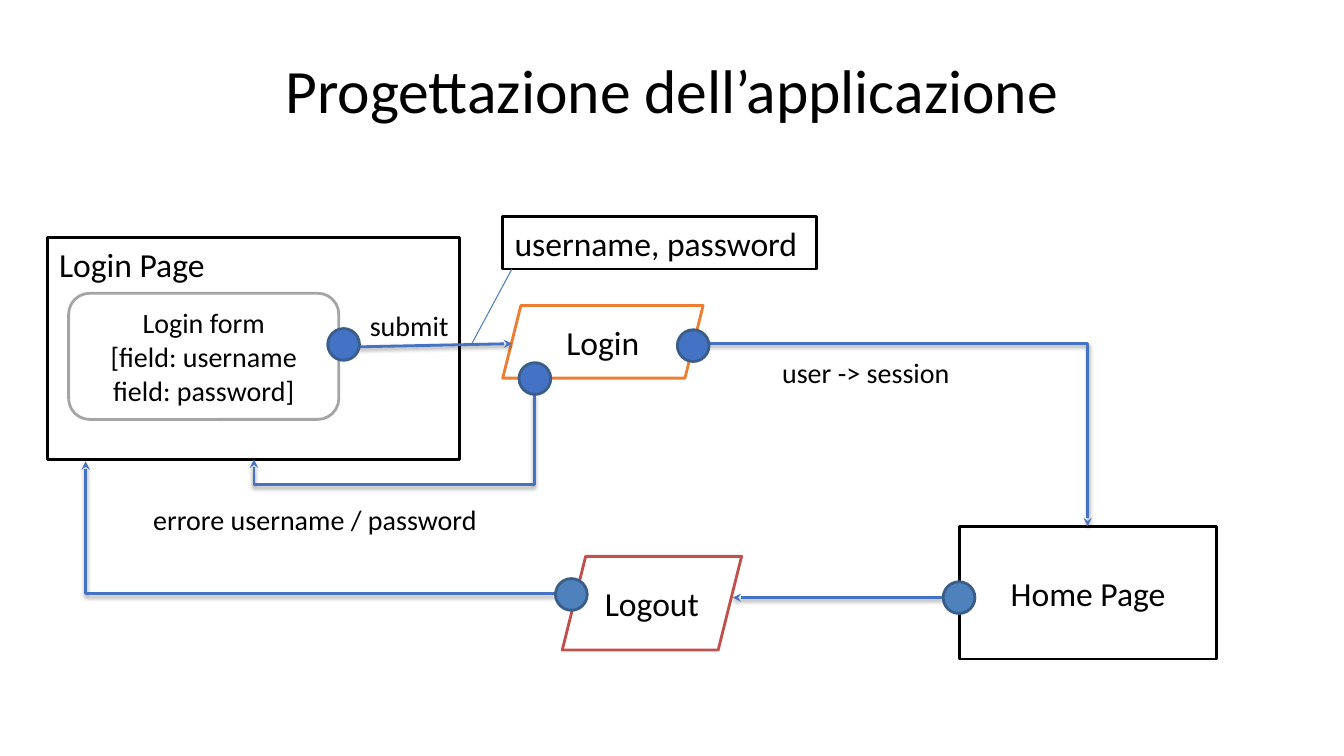
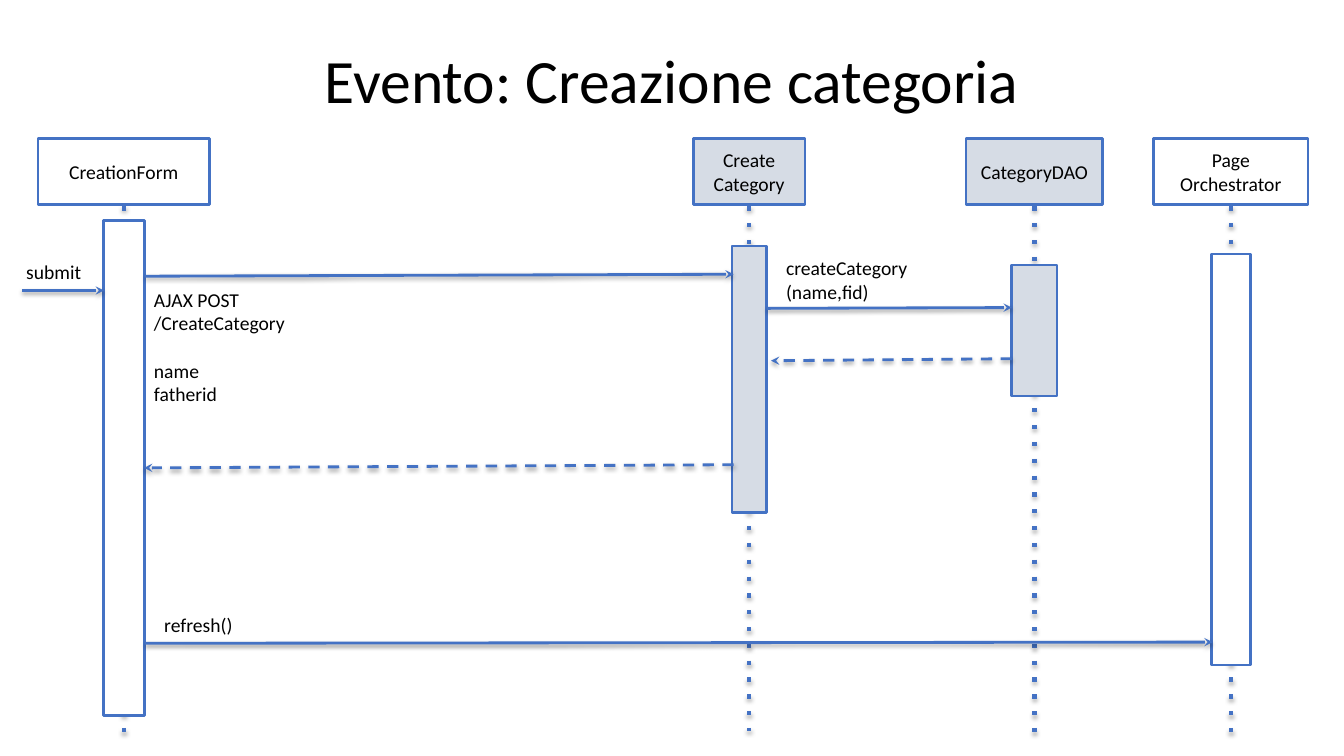
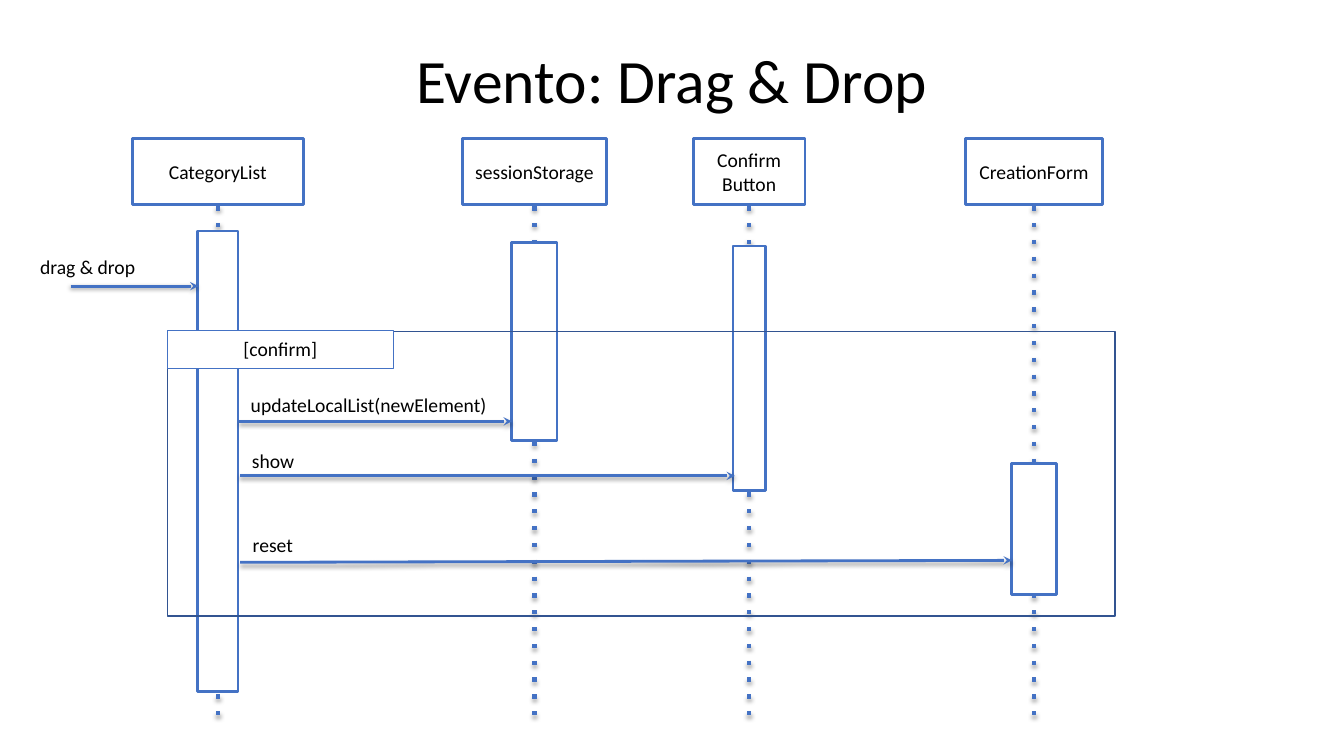
import pptx
import pptx.dml.color
import pptx.enum.shapes
import pptx.enum.text
import pptx.oxml.ns
import pptx.util
from lxml import etree

Cm, Pt = pptx.util.Cm, pptx.util.Pt
SHAPE = pptx.enum.shapes.MSO_SHAPE
CONNECTOR = pptx.enum.shapes.MSO_CONNECTOR
ALIGN = pptx.enum.text.PP_ALIGN
ANCHOR = pptx.enum.text.MSO_ANCHOR
BLUE, BLACK, WHITE, SERVER = "4472C4", "000000", "FFFFFF", "D6DCE5"
DOT_RIM, PAGE_DOT, THIN_BLUE, FRAME_BLUE = "395E89", "4F81BD", "4A7DBA", "325491"
ORANGE, RED, GRAY = "ED7D31", "C0504D", "A5A5A5"
FRAME_FORMAT = {
    "word_wrap": True,
    "margin_left": Cm(0.3),
    "margin_right": Cm(0.3),
    "margin_top": Cm(0.16),
    "margin_bottom": Cm(0.16),
}
HEAD_TOP, HEAD_HEIGHT, AXIS_TOP = 3.5, 1.66, 5.2
DOT_SIZE = 0.8


def rgb(value):
    """Turn a hex string into a colour."""
    return pptx.dml.color.RGBColor.from_string(value)


def set_attributes(target, values):
    """Set each attribute named in values."""
    for name, value in values.items():
        setattr(target, name, value)


def add_node(parent, tag, **attributes):
    """Append a drawing element to parent."""
    return etree.SubElement(parent, pptx.oxml.ns.qn(f"a:{tag}"), attributes)


def write(s, text, size, align=ALIGN.LEFT, anchor=ANCHOR.TOP):
    """Put text in a shape, one paragraph a line."""
    tf = s.text_frame
    set_attributes(tf, FRAME_FORMAT | {"vertical_anchor": anchor})
    tf.text = text
    for p in tf.paragraphs:
        p.alignment = align
        for r in p.runs:
            set_attributes(r.font, {"name": "Calibri", "size": Pt(size)})
            r.font.color.rgb = rgb(BLACK)
    return tf


def add_label(sl, text, x, y, w, h, size=14, **layout):
    """Add a text box."""
    s = sl.shapes.add_textbox(Cm(x), Cm(y), Cm(w), Cm(h))
    return write(s, text, size, **layout)


def add_box(sl, x, y, w, h, kind=SHAPE.RECTANGLE, fill=WHITE, line=BLUE, width=2,
            text="", size=14, align=ALIGN.CENTER, anchor=ANCHOR.MIDDLE):
    """Add an outlined shape, with text if there is any."""
    s = sl.shapes.add_shape(kind, Cm(x), Cm(y), Cm(w), Cm(h))
    s.shadow.inherit = False
    if fill:
        s.fill.solid()
        s.fill.fore_color.rgb = rgb(fill)
    else:
        s.fill.background()
    s.line.color.rgb = rgb(line)
    s.line.width = Pt(width)
    if text:
        write(s, text, size, align, anchor)
    return s


def add_dot(sl, x, y, fill=BLUE):
    """Add an event dot."""
    add_box(sl, x, y, DOT_SIZE, DOT_SIZE, SHAPE.OVAL, fill, DOT_RIM)


def add_line(sl, x1, y1, x2, y2, kind=CONNECTOR.STRAIGHT, color=BLUE, width=2,
             dash=None, arrow=True, shadow=True):
    """Add a line with its dash, arrowhead and shadow."""
    s = sl.shapes.add_connector(kind, Cm(x1), Cm(y1), Cm(x2), Cm(y2))
    s.line.color.rgb = rgb(color)
    s.line.width = Pt(width)
    ln = s.line._get_or_add_ln()
    if dash:
        add_node(ln, "prstDash", val=dash)
    if arrow:
        add_node(ln, "tailEnd", type="stealth")
    effects = add_node(s._element.spPr, "effectLst")
    if shadow:
        outer = add_node(effects, "outerShdw", blurRad=str(Pt(3.1)), dist=str(Pt(1.6)),
                         dir="5400000", rotWithShape="0")
        add_node(add_node(outer, "srgbClr", val=BLACK), "alpha", val="38000")
    return s


def add_elbow(sl, x1, y1, x2, y2, bend=None):
    """Add an arrow that leaves sideways and bends once or at a fraction."""
    s = add_line(sl, x1, y1, x2, y2, CONNECTOR.ELBOW)
    geometry = s._element.spPr.find(pptx.oxml.ns.qn("a:prstGeom"))
    if bend is None:
        geometry.set("prst", "bentConnector2")
    else:
        guides = geometry.find(pptx.oxml.ns.qn("a:avLst"))
        add_node(guides, "gd", name="adj1", fmla=f"val {round(bend * 100000)}")
    return s


def add_elbow_down(sl, x1, y1, x2, y2, bend):
    """Add an arrow that leaves downwards and turns left."""
    cx, cy = (x1 + x2) / 2, (y1 + y2) / 2
    dx, dy = (y2 - y1) / 2, (x1 - x2) / 2
    s = add_elbow(sl, cx - dx, cy - dy, cx + dx, cy + dy, bend)
    s.rotation = 90


def add_lifeline(sl, name, x, head_w, bar_w, bar_top, bar_h, end, fill=WHITE):
    """Add a participant: head, dotted axis and activation bar centred on x."""
    add_line(sl, x, AXIS_TOP, x, end, width=3, dash="dot", arrow=False)
    add_box(sl, x - head_w / 2, HEAD_TOP, head_w, HEAD_HEIGHT, fill=fill, text=name)
    add_box(sl, x - bar_w / 2, bar_top, bar_w, bar_h, fill=fill)


def add_slide(prs, title, x=4.55, y=0.51, w=24.77):
    """Add a blank slide with its title."""
    sl = prs.slides.add_slide(prs.slide_layouts[6])
    tf = add_label(sl, title, x, y, w, 3.18, 44, align=ALIGN.CENTER, anchor=ANCHOR.MIDDLE)
    tf.paragraphs[0].line_spacing = 0.9
    return sl


def add_design_slide(prs):
    """Build the page flow of the application."""
    sl = add_slide(prs, "Progettazione dell’applicazione", 1.7, 0.76, 30.48)
    add_box(sl, 1.19, 5.99, 10.39, 5.59, line=BLACK, text="Login Page", size=24,
            align=ALIGN.LEFT, anchor=ANCHOR.TOP)
    add_box(sl, 1.73, 7.39, 6.81, 3.18, SHAPE.ROUNDED_RECTANGLE, line=GRAY, size=20,
            text="Login form\n[field: username\nfield: password]")
    add_box(sl, 24.18, 13.26, 6.48, 3.35, line=BLACK, text="Home Page", size=24)
    add_box(sl, 12.67, 5.46, 7.9, 1.32, line=BLACK, text="username, password", size=24,
            align=ALIGN.LEFT, anchor=ANCHOR.TOP)
    add_box(sl, 12.67, 7.7, 5.05, 1.83, SHAPE.PARALLELOGRAM, line=ORANGE, text="Login", size=24)
    add_box(sl, 14.17, 14.02, 4.52, 2.36, SHAPE.PARALLELOGRAM, line=RED, text="Logout", size=24)

    add_line(sl, 12.9, 6.78, 11.89, 8.66, color=THIN_BLUE, width=0.75, arrow=False, shadow=False)
    add_line(sl, 9.02, 8.74, 12.9, 8.66)
    add_line(sl, 23.77, 15.06, 18.47, 15.06)
    add_elbow(sl, 17.63, 8.66, 27.41, 13.26)
    add_elbow(sl, 14.33, 14.96, 2.16, 11.63, 1)
    add_elbow_down(sl, 13.46, 9.96, 6.4, 11.58, 1.39)

    for x, y in [(8.26, 8.28), (17.07, 8.31), (13.08, 9.14)]:
        add_dot(sl, x, y)
    for x, y in [(23.77, 14.66), (14, 14.58)]:
        add_dot(sl, x, y, PAGE_DOT)
    for label in [
        ("submit", 9.02, 7.62, 3.07, 1.02),
        ("errore username / password", 3.56, 12.5, 10.74, 2.01),
        ("user -> session", 19.41, 8.79, 5.74, 1.02),
    ]:
        add_label(sl, *label, size=20)


def add_sequence_slide(prs, title, lifelines, messages, labels):
    """Build a sequence diagram."""
    sl = add_slide(prs, title)
    for lifeline in lifelines:
        add_lifeline(sl, *lifeline)
    for message in messages:
        add_line(sl, *message)
    return sl, [add_label(sl, *label) for label in labels]


def add_creation_slide(prs):
    """Build the category creation event."""
    lifelines = [
        ("CreationForm", 3.12, 4.32, 1.04, 5.56, 12.47, 18.64),
        ("Create\nCategory", 18.88, 2.82, 0.86, 6.2, 6.71, 18.42, SERVER),
        ("CategoryDAO", 26.07, 3.45, 1.14, 6.68, 3.3, 18.59, SERVER),
        ("Page\nOrchestrator", 31.02, 3.89, 0.99, 6.4, 10.36, 18.69),
    ]
    messages = [
        (3.66, 6.96, 18.49, 6.91),
        (0.56, 7.32, 2.62, 7.32),
        (3.66, 16.21, 30.56, 16.18),
        (19.33, 7.77, 25.5, 7.75),
    ]
    labels = [
        ("AJAX POST\n/CreateCategory\nname\nfatherid", 3.58, 7.09, 4.52, 2.26),
        ("submit", 0.36, 6.38, 2.08, 1.19),
        ("refresh()", 3.84, 15.29, 2.54, 1.24),
        ("createCategory\n(name,fid)", 19.51, 6.3, 4.7, 0.81),
    ]
    sl, frames = add_sequence_slide(prs, "Evento: Creazione categoria",
                                    lifelines, messages, labels)
    frames[0].paragraphs[2].space_before = Pt(17)
    for reply in [(25.5, 9.04, 19.43, 9.09), (18.49, 11.71, 3.63, 11.79)]:
        add_line(sl, *reply, dash="dash")


def add_drag_slide(prs):
    """Build the drag and drop event."""
    lifelines = [
        ("CategoryList", 5.49, 4.32, 1.02, 5.82, 11.61, 18.06),
        ("sessionStorage", 13.47, 3.63, 1.14, 6.12, 4.98, 18.21),
        ("Confirm\nButton", 18.88, 2.82, 0.81, 6.2, 6.17, 18.06),
        ("CreationForm", 26.06, 3.45, 1.14, 11.68, 3.3, 18.21),
    ]
    messages = [
        (1.78, 7.21, 5, 7.21),
        (6.02, 10.62, 12.9, 10.62),
        (6.05, 11.99, 18.52, 11.99),
        (6.05, 14.17, 25.5, 14.12),
    ]
    labels = [
        ("drag & drop", 0.71, 6.27, 3.28, 1.22),
        ("updateLocalList(newElement)", 6.02, 9.75, 6.76, 0.86),
        ("show", 6.05, 11.15, 6.12, 0.86),
        ("reset", 6.07, 13.28, 4.7, 0.81),
    ]
    sl, _ = add_sequence_slide(prs, "Evento: Drag & Drop", lifelines, messages, labels)
    add_box(sl, 4.22, 8.36, 23.88, 7.16, fill=None, line=FRAME_BLUE, width=1)
    add_box(sl, 4.22, 8.33, 5.69, 0.94, width=0.25, text="[confirm]", anchor=ANCHOR.TOP)


def main():
    """Build and save the presentation."""
    prs = pptx.Presentation()
    set_attributes(prs, {"slide_width": Cm(33.87), "slide_height": Cm(19.05)})
    add_design_slide(prs)
    add_creation_slide(prs)
    add_drag_slide(prs)
    prs.save("out.pptx")


main()
